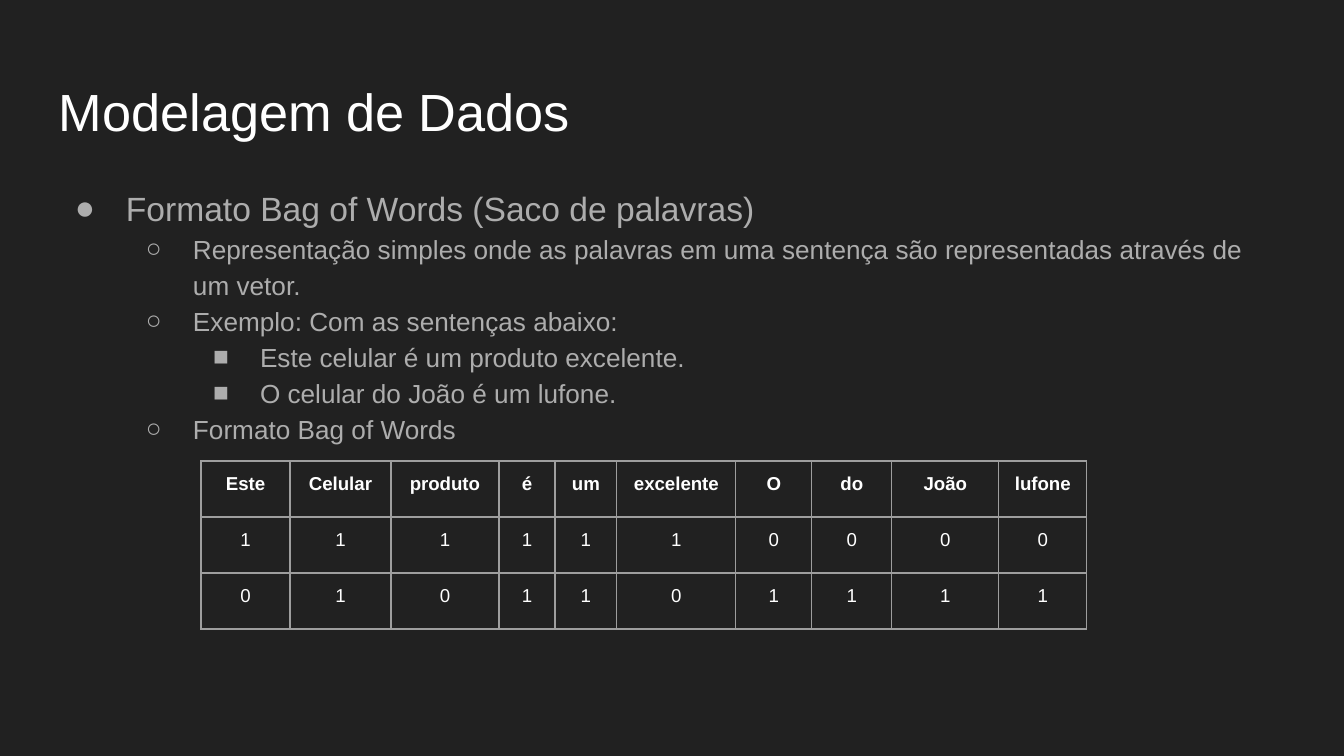
from dataclasses import dataclass

from lxml import etree
from pptx import Presentation
from pptx.dml.color import RGBColor
from pptx.enum.text import PP_ALIGN
from pptx.oxml.ns import qn
from pptx.util import Pt

CENTER = PP_ALIGN.CENTER
EMU_PER_PIXEL = 914400 / 134.4


@dataclass(frozen=True)
class Theme:
    font: str = "Arial"
    background: str = "212121"
    strong: str = "FFFFFF"
    muted: str = "ADADAD"
    border: str = "9E9E9E"
    title_size: int = 28
    lead_size: int = 18
    body_size: int = 14
    table_size: int = 10
    border_width: float = 0.75


THEME = Theme()
BULLETS = "●○■"

TITLE = "Modelagem de Dados"
OUTLINE = [
    (0, "Formato Bag of Words (Saco de palavras)"),
    (1, "Representação simples onde as palavras em uma sentença são "
        "representadas através de um vetor."),
    (1, "Exemplo: Com as sentenças abaixo:"),
    (2, "Este celular é um produto excelente."),
    (2, "O celular do João é um lufone."),
    (1, "Formato Bag of Words"),
]
WORD_VECTORS = [
    ["Este", "Celular", "produto", "é", "um", "excelente", "O", "do", "João", "lufone"],
    [1, 1, 1, 1, 1, 1, 0, 0, 0, 0],
    [0, 1, 0, 1, 1, 0, 1, 1, 1, 1],
]
COLUMN_WIDTHS = [89, 101, 108, 56, 62, 119, 76, 80, 107, 88]
ROW_HEIGHT = 56
CELL_MARGIN = 13


def px(pixels):
    return round(pixels * EMU_PER_PIXEL)


def style_font(paragraph, size, color, bold=False):
    font = paragraph.font
    font.name = THEME.font
    font.size = Pt(size)
    font.bold = bold
    font.color.rgb = RGBColor.from_string(color)


def add_text_frame(slide, box):
    text_frame = slide.shapes.add_textbox(*map(px, box)).text_frame
    text_frame.word_wrap = True
    text_frame.margin_left = text_frame.margin_right = px(CELL_MARGIN)
    text_frame.margin_top = text_frame.margin_bottom = px(CELL_MARGIN)
    return text_frame


def set_bullet(paragraph, level):
    properties = paragraph._p.get_or_add_pPr()
    hanging = 51 if level == 0 else 47
    properties.set("marL", str(px(67 * (level + 1))))
    properties.set("indent", str(-px(hanging)))
    color = etree.SubElement(properties, qn("a:buClr"))
    etree.SubElement(color, qn("a:srgbClr"), val=THEME.muted)
    etree.SubElement(properties, qn("a:buFont"), typeface=THEME.font)
    etree.SubElement(properties, qn("a:buChar"), char=BULLETS[level])


def set_borders(cell):
    properties = cell._tc.get_or_add_tcPr()
    for index, side in enumerate(("lnL", "lnR", "lnT", "lnB")):
        line = etree.Element(qn(f"a:{side}"), w=str(Pt(THEME.border_width)))
        fill = etree.SubElement(line, qn("a:solidFill"))
        etree.SubElement(fill, qn("a:srgbClr"), val=THEME.border)
        properties.insert(index, line)


def add_title(slide, box):
    paragraph = add_text_frame(slide, box).paragraphs[0]
    paragraph.text = TITLE
    style_font(paragraph, THEME.title_size, THEME.strong)


def add_outline(slide, box):
    text_frame = add_text_frame(slide, box)
    for index, (level, text) in enumerate(OUTLINE):
        paragraph = text_frame.add_paragraph() if index else text_frame.paragraphs[0]
        paragraph.text = text
        paragraph.level = level
        set_bullet(paragraph, level)
        paragraph.line_spacing = 1.15
        size = THEME.body_size if level else THEME.lead_size
        style_font(paragraph, size, THEME.muted)


def fill_cell(cell, value, bold):
    cell.margin_left = cell.margin_right = px(CELL_MARGIN)
    cell.margin_top = cell.margin_bottom = px(CELL_MARGIN)
    cell.fill.background()
    set_borders(cell)
    paragraph = cell.text_frame.paragraphs[0]
    paragraph.text = str(value)
    paragraph.alignment = CENTER
    style_font(paragraph, THEME.table_size, THEME.strong, bold)


def add_vector_table(slide, left, top):
    row_count = len(WORD_VECTORS)
    table = slide.shapes.add_table(
        row_count, len(COLUMN_WIDTHS), px(left), px(top),
        px(sum(COLUMN_WIDTHS)), px(ROW_HEIGHT * row_count)).table
    table.first_row = table.horz_banding = False
    for column, width in zip(table.columns, COLUMN_WIDTHS):
        column.width = px(width)
    for row_index, values in enumerate(WORD_VECTORS):
        table.rows[row_index].height = px(ROW_HEIGHT)
        for column_index, value in enumerate(values):
            fill_cell(table.cell(row_index, column_index), value, row_index == 0)


def add_modeling_slide(presentation):
    slide = presentation.slides.add_slide(presentation.slide_layouts[6])
    background = slide.background.fill
    background.solid()
    background.fore_color.rgb = RGBColor.from_string(THEME.background)
    add_title(slide, (46, 66, 1252, 84))
    add_outline(slide, (46, 169, 1252, 502))
    add_vector_table(slide, 201, 461)


presentation = Presentation()
presentation.slide_width = px(1344)
presentation.slide_height = px(756)
add_modeling_slide(presentation)
presentation.save("out.pptx")
